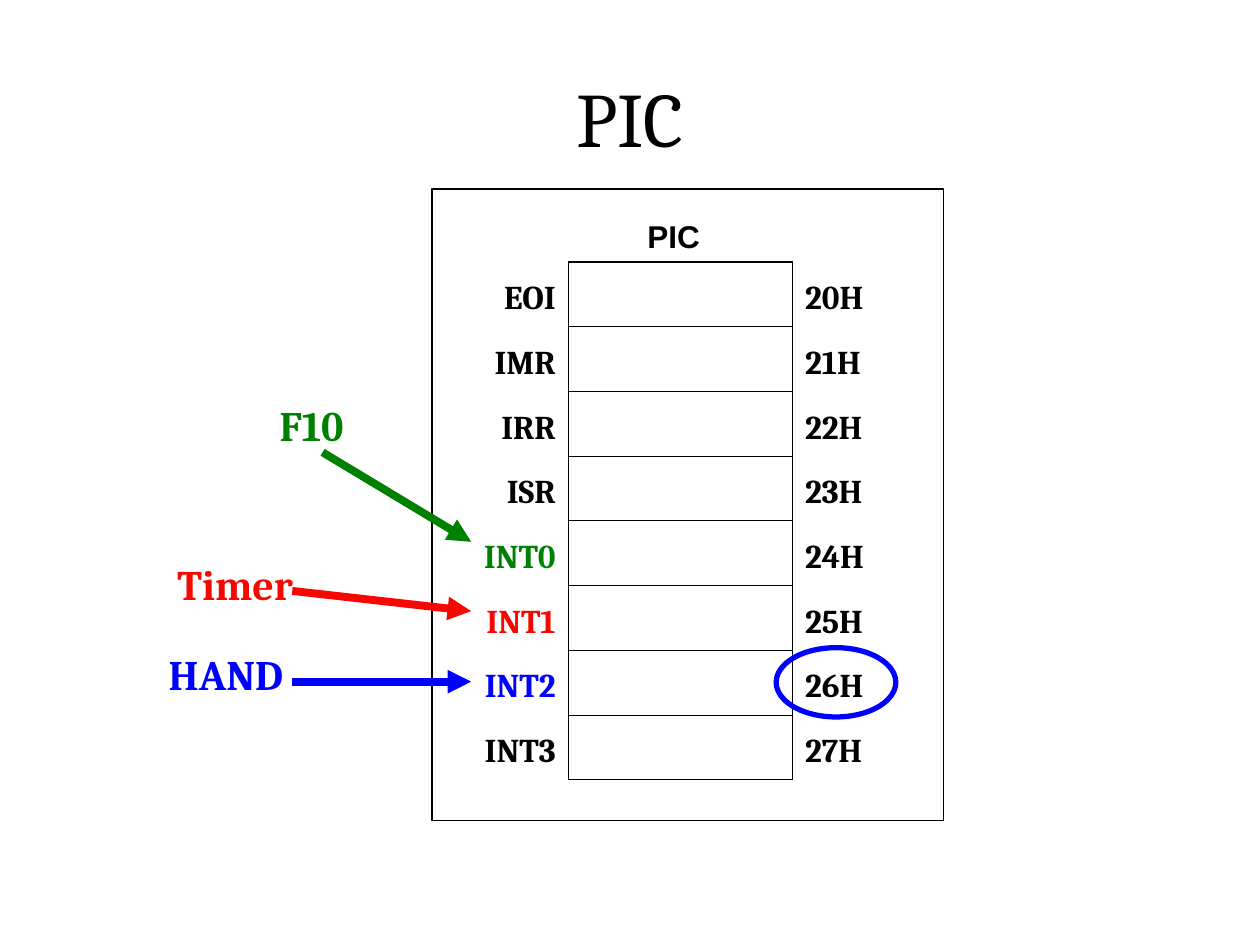
from lxml.etree import SubElement
from pptx import Presentation
from pptx.dml.color import RGBColor
from pptx.enum.shapes import MSO_CONNECTOR, MSO_SHAPE
from pptx.enum.text import MSO_ANCHOR, MSO_AUTO_SIZE, PP_ALIGN
from pptx.oxml import parse_xml
from pptx.oxml.ns import nsdecls, qn
from pptx.util import Inches, Pt

BLACK = RGBColor(0x00, 0x00, 0x00)
GREEN = RGBColor(0x00, 0x80, 0x00)
RED = RGBColor(0xF7, 0x07, 0x01)
BLUE = RGBColor(0x00, 0x00, 0xFF)
PLAIN_STYLE = "{2D5ABB26-0587-4C30-8999-92F81FD0307C}"

# Content: register name, port, colour of the name
TITLE = "PIC"
PORTS = [
    ("EOI", "20H", BLACK),
    ("IMR", "21H", BLACK),
    ("IRR", "22H", BLACK),
    ("ISR", "23H", BLACK),
    ("INT0", "24H", GREEN),
    ("INT1", "25H", RED),
    ("INT2", "26H", BLUE),
    ("INT3", "27H", BLACK),
]
# Source: text, colour, label box, arrow start, arrow end
CALLS = [
    ("F10", GREEN, (2.12, 3.12, 0.71, 0.5), (2.56, 3.59), (3.74, 4.3)),
    ("Timer", RED, (1.31, 4.38, 1.12, 0.5), (2.32, 4.69), (3.74, 4.85)),
    ("HAND", BLUE, (1.24, 5.1, 1.11, 0.5), (2.32, 5.41), (3.74, 5.41)),
]
COLS = (0.92, 1.78, 0.8)
ROW = 4.11 / len(PORTS)


def write(frame, text, size=24, font="Cambria", color=BLACK, bold=True,
          align=PP_ALIGN.LEFT, space=None):
    para = frame.paragraphs[0]
    para.alignment = align
    para.line_spacing = space
    run = para.add_run()
    run.text = text
    run.font.size = Pt(size)
    run.font.name = font
    run.font.bold = bold
    run.font.color.rgb = color


def label(slide, text, box, **form):
    frame = slide.shapes.add_textbox(*map(Inches, box)).text_frame
    frame.word_wrap = False
    frame.auto_size = MSO_AUTO_SIZE.SHAPE_TO_FIT_TEXT
    write(frame, text, **form)


def frame_shape(slide, kind, box, color, width):
    shape = slide.shapes.add_shape(kind, *map(Inches, box))
    shape.shadow.inherit = False
    shape.fill.background()
    shape.line.color.rgb = color
    shape.line.width = Pt(width)


def arrow(slide, start, end, color):
    line = slide.shapes.add_connector(
        MSO_CONNECTOR.STRAIGHT, *map(Inches, start + end))
    line.line.color.rgb = color
    line.line.width = Pt(4.5)
    SubElement(line.line._get_or_add_ln(), qn("a:tailEnd"), type="triangle")
    SubElement(line._element.spPr, qn("a:effectLst"))


def border(cell, sides):
    """Draw black rules; sides maps L, R, T, B (in that order) to points."""
    for spot, (side, width) in enumerate(sides.items()):
        rule = parse_xml(
            f'<a:ln{side} {nsdecls("a")} w="{Pt(width)}"><a:solidFill>'
            f'<a:srgbClr val="{BLACK}"/></a:solidFill></a:ln{side}>')
        cell._tc.get_or_add_tcPr().insert(spot, rule)


def port_table(slide):
    count = len(PORTS)
    table = slide.shapes.add_table(
        count, len(COLS), Inches(3.59), Inches(2.08),
        Inches(sum(COLS)), Inches(ROW * count)).table
    table.first_row = table.horz_banding = False
    table._tbl.tblPr.find(qn("a:tableStyleId")).text = PLAIN_STYLE
    for col, width in zip(table.columns, COLS):
        col.width = Inches(width)
    for num, (name, port, color) in enumerate(PORTS):
        table.rows[num].height = Inches(ROW)
        left, mid, right = table.rows[num].cells
        for cell in (left, mid, right):
            cell.fill.background()
        write(left.text_frame, name, size=19, color=color,
              align=PP_ALIGN.RIGHT, space=1.3)
        write(right.text_frame, port, size=19, space=1.3)
        top = 1.08 if num == 0 else 0.45
        base = 1.08 if num == count - 1 else 0.45
        border(left, {"R": 0.45})
        border(mid, {"L": 0.45, "R": 0.45, "T": top, "B": base})
        border(right, {"L": 0.45})


def main():
    deck = Presentation()
    deck.slide_width, deck.slide_height = Inches(10), Inches(7.5)
    slide = deck.slides.add_slide(deck.slide_layouts[5])

    # Title
    title = slide.shapes.title
    title.left, title.top = Inches(0.5), Inches(0.3)
    title.width, title.height = Inches(9), Inches(1.25)
    title.text_frame.vertical_anchor = MSO_ANCHOR.MIDDLE
    write(title.text_frame, TITLE, size=44, bold=False,
          align=PP_ALIGN.CENTER)

    # Chip with its ports
    port_table(slide)
    frame_shape(slide, MSO_SHAPE.RECTANGLE, (3.43, 1.5, 4.06, 5.01),
                BLACK, 0.75)
    label(slide, "PIC", (5.04, 1.67, 0.65, 0.4), size=18, font="Arial")

    # Interrupt sources
    for text, color, box, start, end in CALLS:
        arrow(slide, start, end, color)
        label(slide, text, box, color=color)

    # Ring around the port in use
    frame_shape(slide, MSO_SHAPE.OVAL, (6.16, 5.14, 0.95, 0.55), BLUE, 3)

    deck.save("out.pptx")


if __name__ == "__main__":
    main()
